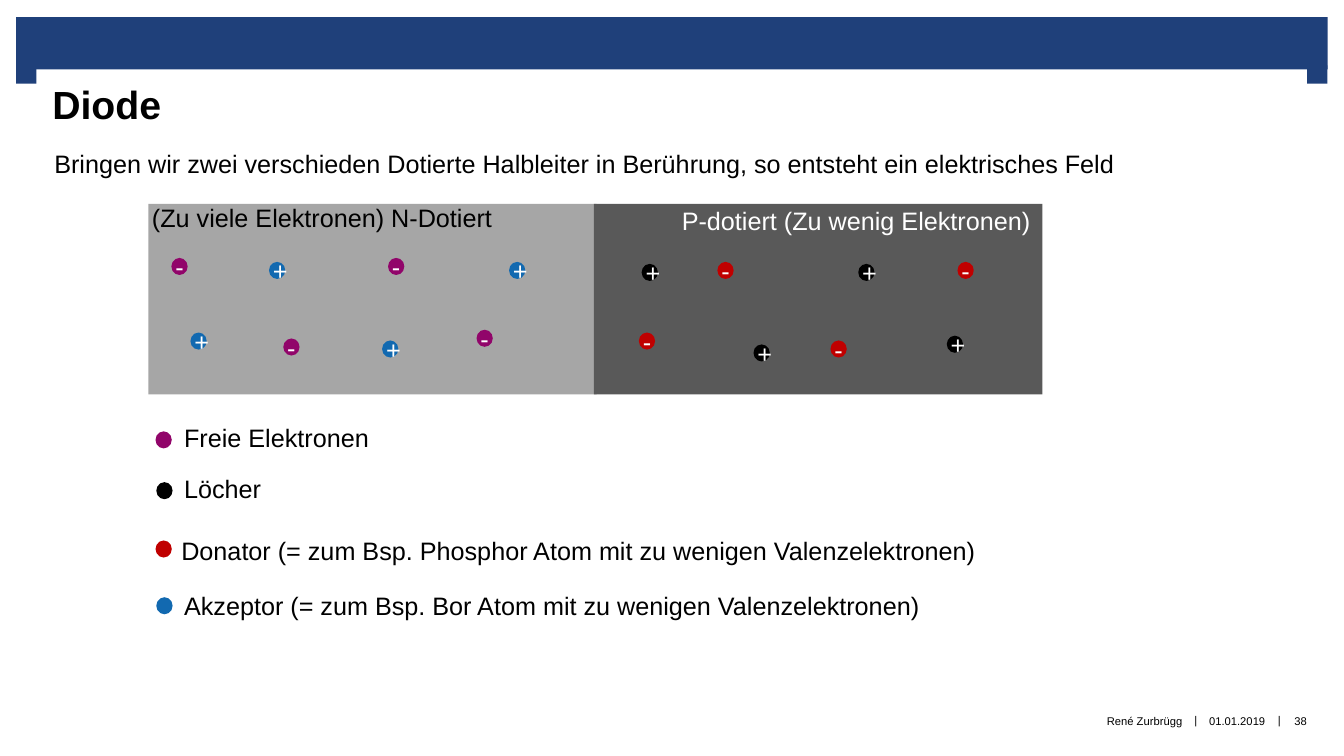
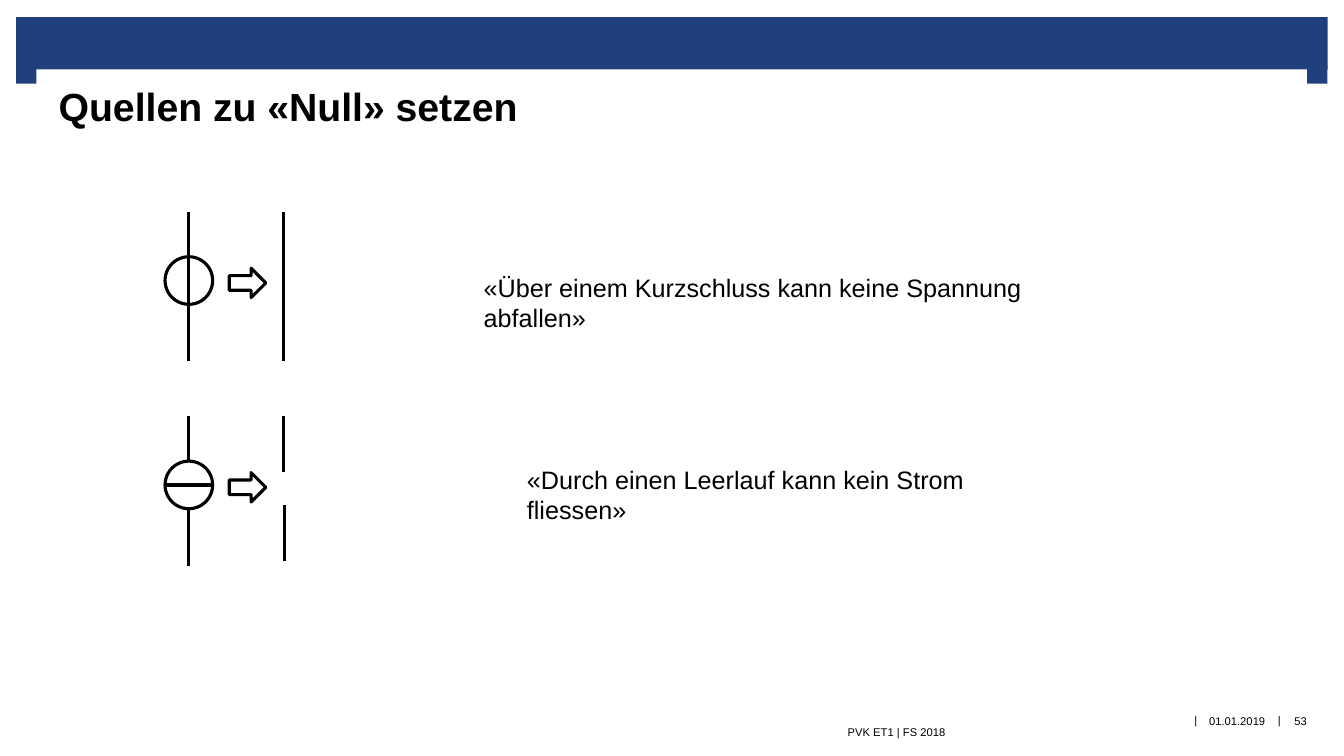
"""Build two slides on diodes and on setting sources to zero."""
from dataclasses import dataclass

import lxml.etree
import pptx
import pptx.dml.color
import pptx.enum.shapes
import pptx.enum.text
import pptx.oxml.ns
import pptx.presentation
import pptx.shapes.autoshape
import pptx.slide
import pptx.text.text
import pptx.util

Cm = pptx.util.Cm
Color = pptx.dml.color.RGBColor
Slide = pptx.slide.Slide
Shape = pptx.shapes.autoshape.Shape
Kind = pptx.enum.shapes.MSO_SHAPE
Align = pptx.enum.text.PP_ALIGN
Anchor = pptx.enum.text.MSO_ANCHOR

FONT = "Arial"
NAVY = Color(0x1F, 0x40, 0x7A)
BLACK = Color(0, 0, 0)
WHITE = Color(255, 255, 255)
LIGHT = Color(0xA6, 0xA6, 0xA6)
DARK = Color(0x59, 0x59, 0x59)
PURPLE = Color(0x91, 0x05, 0x6A)
BLUE = Color(0x12, 0x69, 0xB0)
RED = Color(0xC0, 0, 0)

STROKE = pptx.util.Pt(2.25)
DOT = (0.41, 0.43)
FREE = ((4.32, 6.5), (7.14, 8.53), (9.78, 6.5), (12.01, 8.31))
FIXED = ((4.8, 8.38), (6.78, 6.6), (9.63, 8.58), (12.83, 6.6))


@dataclass(frozen=True)
class Box:
    """Place and size in centimetres."""
    left: float
    top: float
    width: float
    height: float

    def spans(self) -> tuple[Cm, Cm, Cm, Cm]:
        """Return the four lengths."""
        return Cm(self.left), Cm(self.top), Cm(self.width), Cm(self.height)


@dataclass(frozen=True)
class Charge:
    """A group of equal charges, moved from a base pattern."""
    spots: tuple[tuple[float, float], ...]
    shift: tuple[float, float]
    sign: str
    color: Color


@dataclass(frozen=True)
class Entry:
    """A legend row."""
    dot: tuple[float, float]
    label: Box
    text: str
    color: Color


@dataclass(frozen=True)
class Source:
    """A source symbol and what is left of it at zero."""
    top: float
    level: bool
    rest: tuple[tuple[float, float, float], ...]
    label: Box
    text: str


BANDS = (
    Box(0.41, 0.43, 33.05, 1.32),
    Box(0.41, 1.65, 0.51, 0.46),
    Box(32.94, 1.65, 0.51, 0.46),
)
CHARGES = (
    Charge(FREE, (0, 0), "-", PURPLE),
    Charge(FREE, (11.85, 0.15), "+", BLACK),
    Charge(FIXED, (0, 0), "+", BLUE),
    Charge(FIXED, (11.3, 0), "-", RED),
)
LEGEND = (
    Entry((3.92, 10.87), Box(4.39, 10.52, 5.3, 1.02), "Freie Elektronen", PURPLE),
    Entry((3.94, 12.15), Box(4.39, 11.79, 2.6, 1.02), "Löcher", BLACK),
    Entry((3.92, 13.62), Box(4.32, 13.37, 20.8, 1.02),
          "Donator (= zum Bsp. Phosphor Atom mit zu wenigen Valenzelektronen)", RED),
    Entry((3.94, 15.05), Box(4.39, 14.75, 19.3, 1.02),
          "Akzeptor (= zum Bsp. Bor Atom mit zu wenigen Valenzelektronen)", BLUE),
)
SOURCES = (
    Source(5.33, False, ((7.14, 0, 3.77),), Box(11.94, 6.73, 14.81, 1.02),
           "«Über einem Kurzschluss kann keine Spannung abfallen»"),
    Source(10.48, True, ((7.14, 0, 1.42), (7.16, 2.24, 3.66)),
           Box(13.03, 11.56, 12.62, 1.02),
           "«Durch einen Leerlauf kann kein Strom fliessen»"),
)


def style(part: pptx.text.text._Paragraph, size: float, color: Color,
          align: Align, bold: bool = False) -> None:
    """Set the look of a paragraph."""
    part.alignment = align
    part.font.name = FONT
    part.font.size = pptx.util.Pt(size)
    part.font.bold = bold
    part.font.color.rgb = color


def write(slide: Slide, box: Box, text: str, size: float = 18,
          color: Color = BLACK, align: Align = Align.LEFT, bold: bool = False,
          pads: tuple[float, float] = (0.25, 0.13)) -> pptx.text.text.TextFrame:
    """Add a text box with side and top insets."""
    frame = slide.shapes.add_textbox(*box.spans()).text_frame
    frame.word_wrap = True
    frame.margin_left = frame.margin_right = Cm(pads[0])
    frame.margin_top = Cm(pads[1])
    frame.margin_bottom = 0
    frame.text = text
    style(frame.paragraphs[0], size, color, align, bold)
    return frame


def draw(slide: Slide, kind: Kind, box: Box, fill: Color,
         edge: Color | None = None) -> Shape:
    """Add a filled shape, with an edge if given."""
    shape = slide.shapes.add_shape(kind, *box.spans())
    shape.shadow.inherit = False
    shape.fill.solid()
    shape.fill.fore_color.rgb = fill
    if edge is None:
        shape.line.fill.background()
    else:
        shape.line.color.rgb = edge
        shape.line.width = STROKE
    return shape


def wire(slide: Slide, left: float, top: float, right: float, low: float) -> None:
    """Add a straight black line."""
    line = slide.shapes.add_connector(
        pptx.enum.shapes.MSO_CONNECTOR.STRAIGHT, Cm(left), Cm(top), Cm(right), Cm(low))
    line.line.color.rgb = BLACK
    line.line.width = STROKE
    lxml.etree.SubElement(line._element.spPr, pptx.oxml.ns.qn("a:effectLst"))


def note(slide: Slide, box: Box, text: str, align: Align = Align.CENTER) -> None:
    """Add a footer text."""
    frame = write(slide, box, text, size=8, align=align, pads=(0, 0))
    frame.vertical_anchor = Anchor.MIDDLE


def start(deck: pptx.presentation.Presentation, title: str, place: Box, page: str,
          credit: str, spot: Box) -> Slide:
    """Add a slide with bands, footer and title."""
    slide = deck.slides.add_slide(deck.slide_layouts[6])
    for band in BANDS:
        draw(slide, Kind.RECTANGLE, band, NAVY)
    for left in (29.95, 32.05):
        note(slide, Box(left, 17.5, 0.38, 1.3), "|")
    note(slide, Box(30.33, 17.53, 1.7, 1.3), "01.01.2019")
    note(slide, Box(32.28, 17.53, 0.99, 1.3), page)
    note(slide, spot, credit, Align.RIGHT)
    write(slide, place, title, size=28, bold=True, pads=(0.41, 0.3))
    return slide


def dot(slide: Slide, left: float, top: float, color: Color, sign: str = "") -> None:
    """Add a small disc, with a sign if given."""
    disc = draw(slide, Kind.OVAL, Box(left, top, *DOT), color)
    if sign:
        disc.text_frame.text = sign
        style(disc.text_frame.paragraphs[0], 18, WHITE, Align.CENTER)


def diode(deck: pptx.presentation.Presentation) -> None:
    """Build the diode slide."""
    slide = start(deck, "Diode", Box(0.91, 1.73, 26.67, 1.6), "38",
                  "René Zurbrügg", Box(16.92, 17.53, 12.88, 1.27))
    write(slide, Box(1.12, 3.61, 27.6, 1.02),
          "Bringen wir zwei verschieden Dotierte Halbleiter in Berührung, "
          "so entsteht ein elektrisches Feld")
    for left, fill in ((3.74, LIGHT), (14.97, DARK)):
        draw(slide, Kind.RECTANGLE, Box(left, 5.14, 11.3, 4.8), fill)
    for group in CHARGES:
        right, down = group.shift
        for left, top in group.spots:
            dot(slide, left + right, top + down, group.color, group.sign)
    write(slide, Box(3.58, 4.98, 9.3, 1.02), "(Zu viele Elektronen) N-Dotiert")
    write(slide, Box(16.8, 5.05, 9.42, 1.02), "P-dotiert (Zu wenig Elektronen)",
          color=WHITE, align=Align.RIGHT)
    for entry in LEGEND:
        dot(slide, *entry.dot, entry.color)
        write(slide, entry.label, entry.text)


def sources(deck: pptx.presentation.Presentation) -> None:
    """Build the slide on sources set to zero."""
    slide = start(deck, "Quellen zu «Null» setzen", Box(1.07, 1.78, 27.94, 4.04),
                  "53", "PVK ET1 | FS 2018", Box(10.24, 17.93, 13.59, 1.02))
    mid, size = 4.76, 1.2
    half = size / 2
    for item in SOURCES:
        top = item.top
        ring = Box(mid - half, top + 1.14, size, size)
        wire(slide, mid, top, mid, top + 3.77)
        draw(slide, Kind.OVAL, ring, WHITE, BLACK)
        if item.level:
            wire(slide, ring.left, ring.top + half, ring.left + size, ring.top + half)
        else:
            wire(slide, mid, ring.top, mid, ring.top + size)
        draw(slide, Kind.RIGHT_ARROW, Box(5.78, top + 1.43, 0.92, 0.74), WHITE, BLACK)
        for left, first, last in item.rest:
            wire(slide, left, top + first, left, top + last)
        write(slide, item.label, item.text)


def main() -> None:
    """Build and save the deck."""
    deck = pptx.Presentation()
    deck.slide_width, deck.slide_height = Cm(33.87), Cm(19.05)
    diode(deck)
    sources(deck)
    deck.save("out.pptx")


if __name__ == "__main__":
    main()
